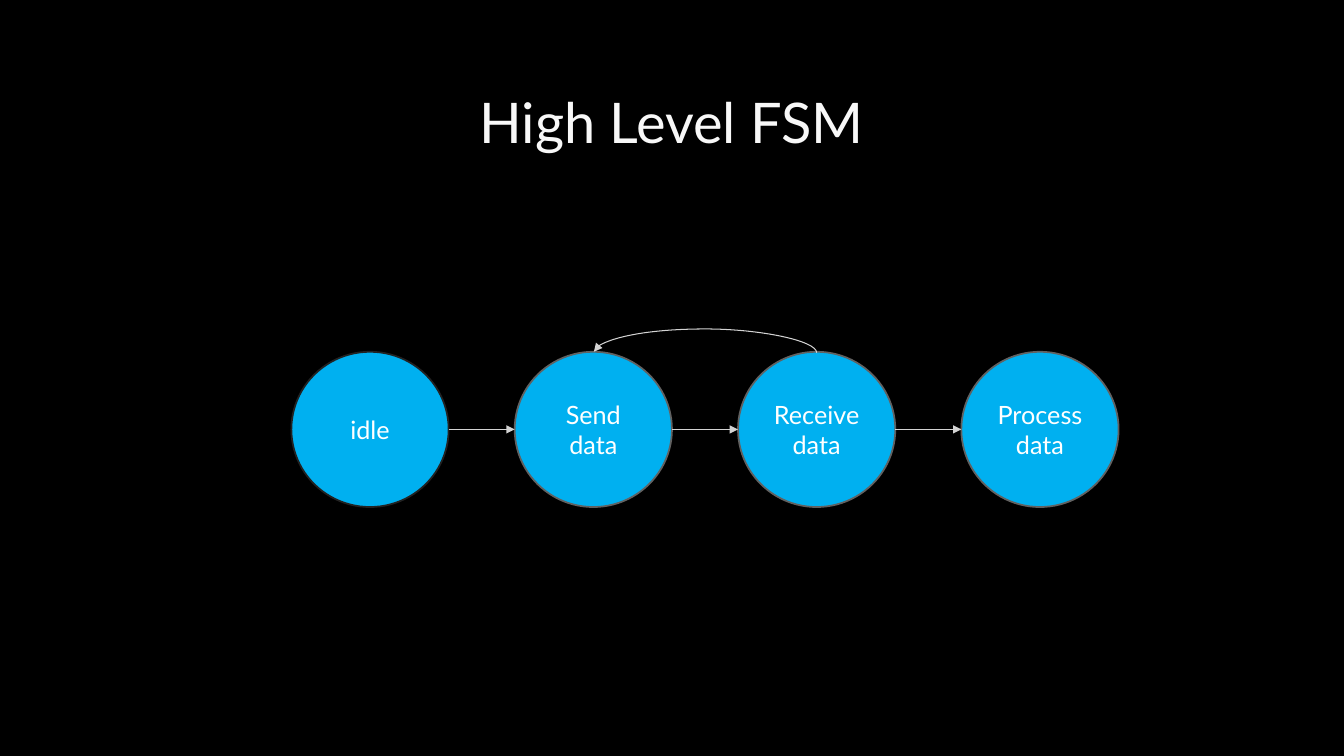
"""Build a slide showing a four-state finite state machine."""
from lxml import etree
from pptx import Presentation
from pptx.dml.color import RGBColor
from pptx.enum import shapes, text
from pptx.oxml import parse_xml
from pptx.oxml.ns import nsdecls, qn
from pptx.util import Inches, Pt


def color(value):
    return RGBColor.from_string(value)


def write(shape, content, size, font_color):
    frame = shape.text_frame
    frame.word_wrap = True
    frame.vertical_anchor = text.MSO_ANCHOR.MIDDLE
    paragraph = frame.paragraphs[0]
    paragraph.alignment = text.PP_ALIGN.CENTER
    run = paragraph.add_run()
    run.text = content
    run.font.name = "Lato"
    run.font.size = Pt(size)
    run.font.color.rgb = color(font_color)
    return run


presentation = Presentation()
presentation.slide_width = Inches(13.33)
presentation.slide_height = Inches(7.5)
slide = presentation.slides.add_slide(presentation.slide_layouts[6])
slide.background.fill.solid()
slide.background.fill.fore_color.rgb = color("000000")

title = slide.shapes.add_textbox(Inches(1), Inches(0.67), Inches(11.32), Inches(1.06))
title_run = write(title, "High Level FSM", size=40, font_color="F8F8F8")
title_run.font._element.insert(0, parse_xml(
    f'<a:ln {nsdecls("a")} w="9525"><a:solidFill><a:srgbClr val="404040">'
    '<a:alpha val="10000"/></a:srgbClr></a:solidFill></a:ln>'))

first_left, top, width, height, pitch = 2.89, 3.49, 1.56, 1.54, 2.215
middle = top + height / 2
states = [("idle", "222222"), ("Send data", "616161"),
          ("Receive data", "616161"), ("Process data", "616161")]
for index, (label, outline) in enumerate(states):
    state = slide.shapes.add_shape(
        shapes.MSO_SHAPE.OVAL, Inches(first_left + index * pitch), Inches(top),
        Inches(width), Inches(height))
    state.shadow.inherit = False
    state.fill.solid()
    state.fill.fore_color.rgb = color("00B0F0")
    state.line.color.rgb = color(outline)
    state.line.width = Pt(1.25)
    write(state, label, size=18, font_color="FFFFFF")

arrows = []
for index in range(len(states) - 1):
    left = first_left + index * pitch
    arrows.append(slide.shapes.add_connector(
        shapes.MSO_CONNECTOR.STRAIGHT, Inches(left + width), Inches(middle),
        Inches(left + pitch), Inches(middle)))

return_arrow = slide.shapes.add_connector(
    shapes.MSO_CONNECTOR.CURVE, Inches(6.99), Inches(4.6), Inches(7), Inches(2.39))
properties = return_arrow._element.spPr
properties.find(qn("a:xfrm")).set("rot", "16200000")
geometry = properties.find(qn("a:prstGeom"))
adjustments = geometry.find(qn("a:avLst"))
etree.SubElement(adjustments, qn("a:gd"), name="adj1", fmla="val 2400000")
arrows.append(return_arrow)

for arrow in arrows:
    arrow.line.color.rgb = color("D3D3D3")
    arrow.line.width = Pt(0.75)
    etree.SubElement(arrow.line._get_or_add_ln(), qn("a:tailEnd"), type="triangle")
    etree.SubElement(arrow._element.spPr, qn("a:effectLst"))

presentation.save("out.pptx")
